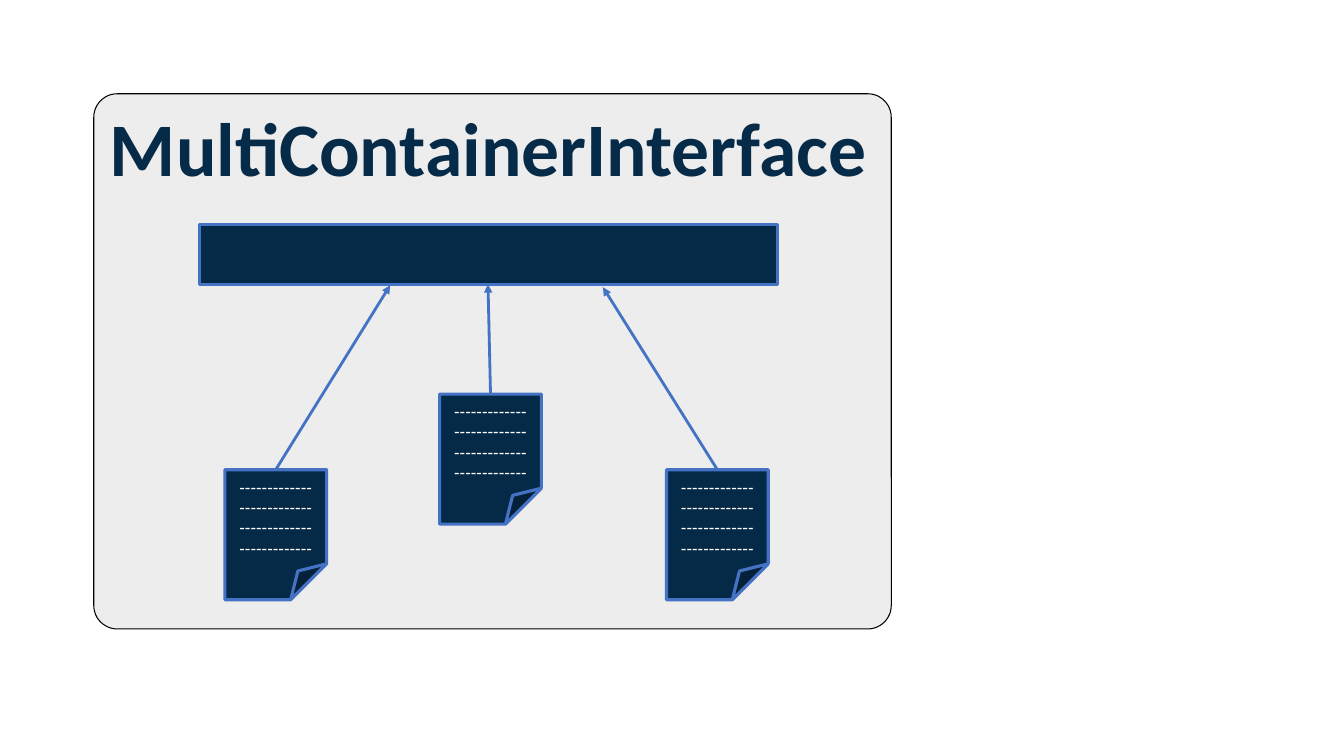
from lxml import etree
from pptx import Presentation
from pptx.dml.color import RGBColor
from pptx.enum import shapes, text
from pptx.oxml.ns import qn
from pptx.util import Inches, Pt

COLORS = {
    "panel": "EDEDED",
    "outline": "000000",
    "title": "052B48",
    "navy": "052A48",
    "blue": "4472C4",
    "white": "FFFFFF",
}
DOC_WIDTH, DOC_HEIGHT = 1.01, 1.29
DOC_LINES = 4


def color(name):
    return RGBColor.from_string(COLORS[name])


def add_block(slide, preset, box, fill, line, line_width):
    block = slide.shapes.add_shape(preset, *map(Inches, box))
    block.shadow.inherit = False
    block.fill.solid()
    block.fill.fore_color.rgb = color(fill)
    block.line.color.rgb = color(line)
    block.line.width = Pt(line_width)
    return block


def add_document(slide, left, top):
    document = add_block(slide, shapes.MSO_SHAPE.FOLDED_CORNER,
                         (left, top, DOC_WIDTH, DOC_HEIGHT), "navy", "blue", 2.25)
    # python-pptx lists no adjustment for this preset, so the fold is set in XML
    guides = document._element.spPr.find(qn("a:prstGeom")).find(qn("a:avLst"))
    etree.SubElement(guides, qn("a:gd"), name="adj", fmla="val 35300")
    frame = document.text_frame
    frame.vertical_anchor = text.MSO_ANCHOR.MIDDLE
    frame.text = "\n".join(["-" * 13] * DOC_LINES)
    for paragraph in frame.paragraphs:
        paragraph.alignment = text.PP_ALIGN.CENTER
        paragraph.line_spacing = Pt(14.5)
        font = paragraph.runs[0].font
        font.name, font.size = "Arial", Pt(12)
        font.color.rgb = color("white")


def add_arrow(slide, start, end):
    arrow = slide.shapes.add_connector(shapes.MSO_CONNECTOR.STRAIGHT,
                                       *map(Inches, start + end))
    arrow.line.color.rgb = color("blue")
    arrow.line.width = Pt(2)
    outline = arrow._element.spPr.find(qn("a:ln"))
    etree.SubElement(outline, qn("a:tailEnd"), type="triangle")
    etree.SubElement(arrow._element.spPr, qn("a:effectLst"))


def set_title(slide, wording):
    title = slide.shapes.title
    title.left, title.top, title.width, title.height = map(
        Inches, (0.93, 0.95, 7.83, 1.01))
    frame = title.text_frame
    frame.text = wording
    frame.word_wrap = False
    frame.auto_size = text.MSO_AUTO_SIZE.NONE
    frame.vertical_anchor = text.MSO_ANCHOR.TOP
    frame.paragraphs[0].alignment = text.PP_ALIGN.CENTER
    font = frame.paragraphs[0].runs[0].font
    font.name, font.size, font.bold = "Calibri", Pt(54), True
    font.color.rgb = color("title")
    return title


def main():
    prs = Presentation()
    prs.slide_width, prs.slide_height = Inches(13.33), Inches(7.5)
    slide = prs.slides.add_slide(prs.slide_layouts[5])

    # Panel, placed behind the title
    title = set_title(slide, "MultiContainerInterface")
    panel = add_block(slide, shapes.MSO_SHAPE.ROUNDED_RECTANGLE,
                      (0.93, 0.93, 7.91, 5.31), "panel", "outline", 0.75)
    panel.adjustments[0] = 0.044
    title._element.addprevious(panel._element)

    # Container bar
    add_block(slide, shapes.MSO_SHAPE.RECTANGLE,
              (1.98, 2.23, 5.73, 0.59), "navy", "blue", 2.25)

    # Documents, each with an arrow from its top centre to the bar
    for left, top, target in (
        (2.23, 4.66, (3.87, 2.83)),
        (4.36, 3.91, (4.84, 2.82)),
        (6.61, 4.66, (5.98, 2.85)),
    ):
        add_document(slide, left, top)
        add_arrow(slide, (left + DOC_WIDTH / 2, top), target)

    prs.save("out.pptx")


if __name__ == "__main__":
    main()
